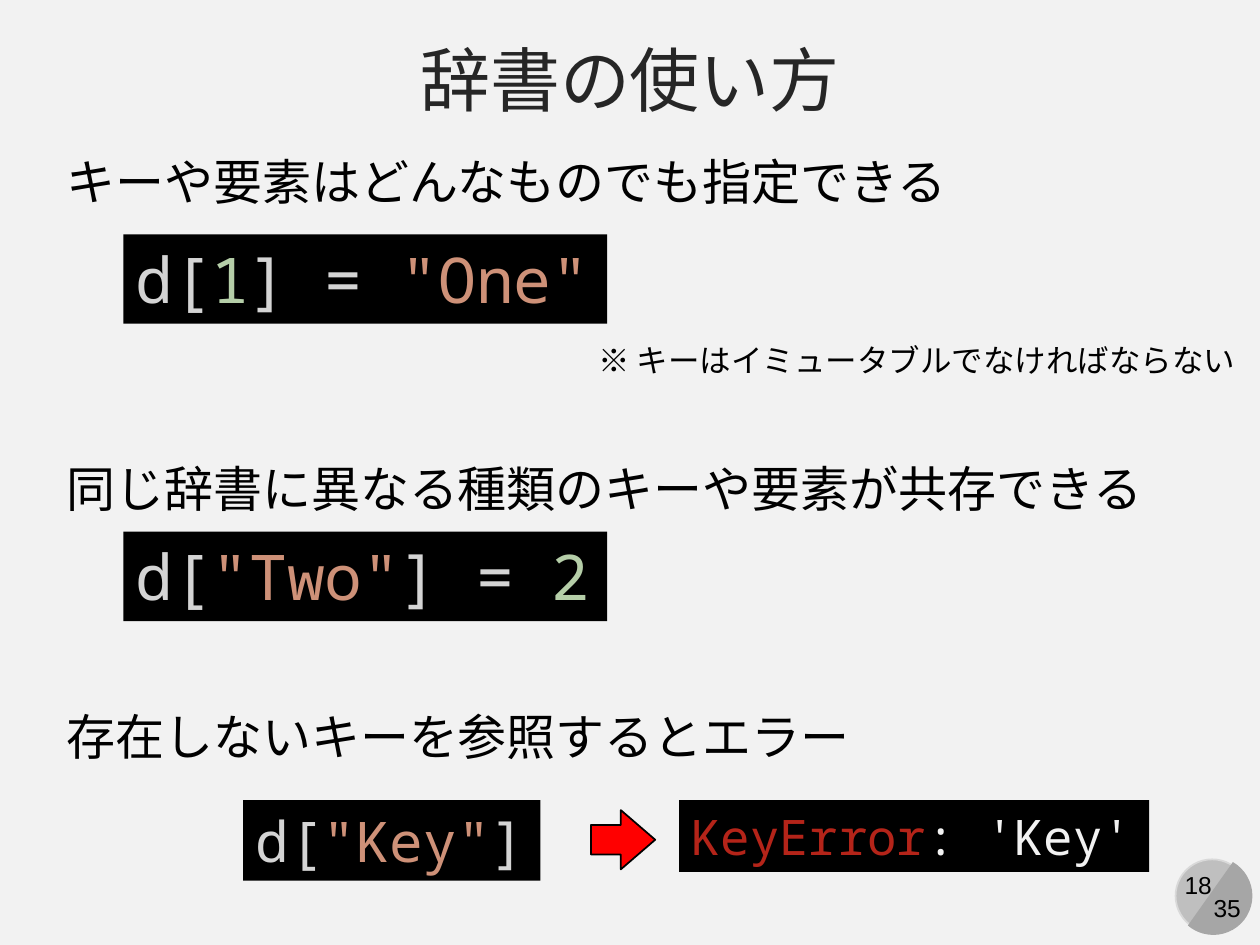
from pptx import Presentation
from pptx.dml.color import RGBColor
from pptx.enum.shapes import MSO_SHAPE
from pptx.enum.text import MSO_ANCHOR, MSO_AUTO_SIZE, PP_ALIGN
from pptx.util import Inches, Pt

RECT, OVAL = MSO_SHAPE.RECTANGLE, MSO_SHAPE.OVAL
CHORD, ARROW = MSO_SHAPE.CHORD, MSO_SHAPE.RIGHT_ARROW
LEFT, CENTER = PP_ALIGN.LEFT, PP_ALIGN.CENTER
MIDDLE, GROW = MSO_ANCHOR.MIDDLE, MSO_AUTO_SIZE.SHAPE_TO_FIT_TEXT
SANS, MONO = "Arial", "Noto Sans Mono"
BLACK, PLAIN, STRING, NUMBER = "000000", "D4D4D4", "CE9178", "B5CEA8"


def paint(fill, color):
    fill.solid()
    fill.fore_color.rgb = RGBColor.from_string(color)


def write(s, runs, size, font, align=LEFT):
    tf = s.text_frame
    tf.word_wrap = False
    tf.auto_size = GROW
    p = tf.paragraphs[0]
    p.alignment = align
    for text, color in runs:
        r = p.add_run()
        r.text = text
        r.font.size = Pt(size)
        r.font.name = font
        paint(r.font.fill, color)


def add_shape(s, kind, box, fill, line=None, adjustments=()):
    sp = s.shapes.add_shape(kind, *map(Inches, box))
    sp.shadow.inherit = False
    paint(sp.fill, fill)
    if line:
        paint(sp.line.fill, line)
        sp.line.width = Pt(1)
    else:
        sp.line.fill.background()
    for i, value in enumerate(adjustments):
        sp.adjustments[i] = value
    return sp


def add_text(s, box, text, size, align=LEFT, color=BLACK):
    sp = s.shapes.add_textbox(*map(Inches, box))
    write(sp, [(text, color)], size, SANS, align)
    return sp


def add_title(s, text):
    sp = add_text(s, (0, 0.21, 10, 0.82), text, 40, CENTER, "262626")
    tf = sp.text_frame
    tf.word_wrap = True
    tf.auto_size = MSO_AUTO_SIZE.NONE
    tf.vertical_anchor = MIDDLE


def add_code(s, box, runs, size):
    sp = add_shape(s, RECT, box, BLACK)
    sp.text_frame.vertical_anchor = MSO_ANCHOR.TOP
    write(sp, runs, size, MONO)


def add_page_badge(s, page, total):
    add_shape(s, OVAL, (9.33, 6.82, 0.58, 0.58), "BFBFBF", "D9D9D9")
    add_text(s, (9.29, 6.86, 0.44, 0.34), page, 14, CENTER)
    half = add_shape(s, CHORD, (9.32, 6.8, 0.62, 0.62), "A6A6A6",
                     adjustments=(27, 141.42))
    half.rotation = 255
    add_text(s, (9.53, 7.04, 0.42, 0.34), total, 14, CENTER)


def main():
    prs = Presentation()
    prs.slide_width, prs.slide_height = Inches(10), Inches(7.5)
    s = prs.slides.add_slide(prs.slide_layouts[6])
    paint(s.background.fill, "F2F2F2")

    add_page_badge(s, "18", "35")
    add_title(s, "辞書の使い方")

    headings = [
        (1.15, 7.27, "キーや要素はどんなものでも指定できる"),
        (3.59, 8.84, "同じ辞書に異なる種類のキーや要素が共存できる"),
        (5.56, 6.48, "存在しないキーを参照するとエラー"),
    ]
    for top, width, text in headings:
        add_text(s, (0.43, top, width, 0.57), text, 28)
    add_text(s, (4.65, 2.66, 5.32, 0.4),
             "※ キーはイミュータブルでなければならない", 18)

    add_code(s, (0.98, 1.86, 3.84, 0.71),
             [("d[", PLAIN), ("1", NUMBER), ("] = ", PLAIN), ('"One"', STRING)], 36)
    add_code(s, (0.98, 4.22, 3.84, 0.71),
             [("d[", PLAIN), ('"Two"', STRING), ("] = ", PLAIN), ("2", NUMBER)], 36)
    add_code(s, (1.93, 6.35, 2.36, 0.64),
             [("d[", PLAIN), ('"Key"', STRING), ("]", PLAIN)], 32)
    add_code(s, (5.39, 6.35, 3.73, 0.57),
             [("KeyError", "B42419"), (": 'Key'", "F2F2F2")], 28)
    add_shape(s, ARROW, (4.69, 6.43, 0.51, 0.47), "FF0000", BLACK, (0.5, 0.58))

    prs.save("out.pptx")


if __name__ == "__main__":
    main()
